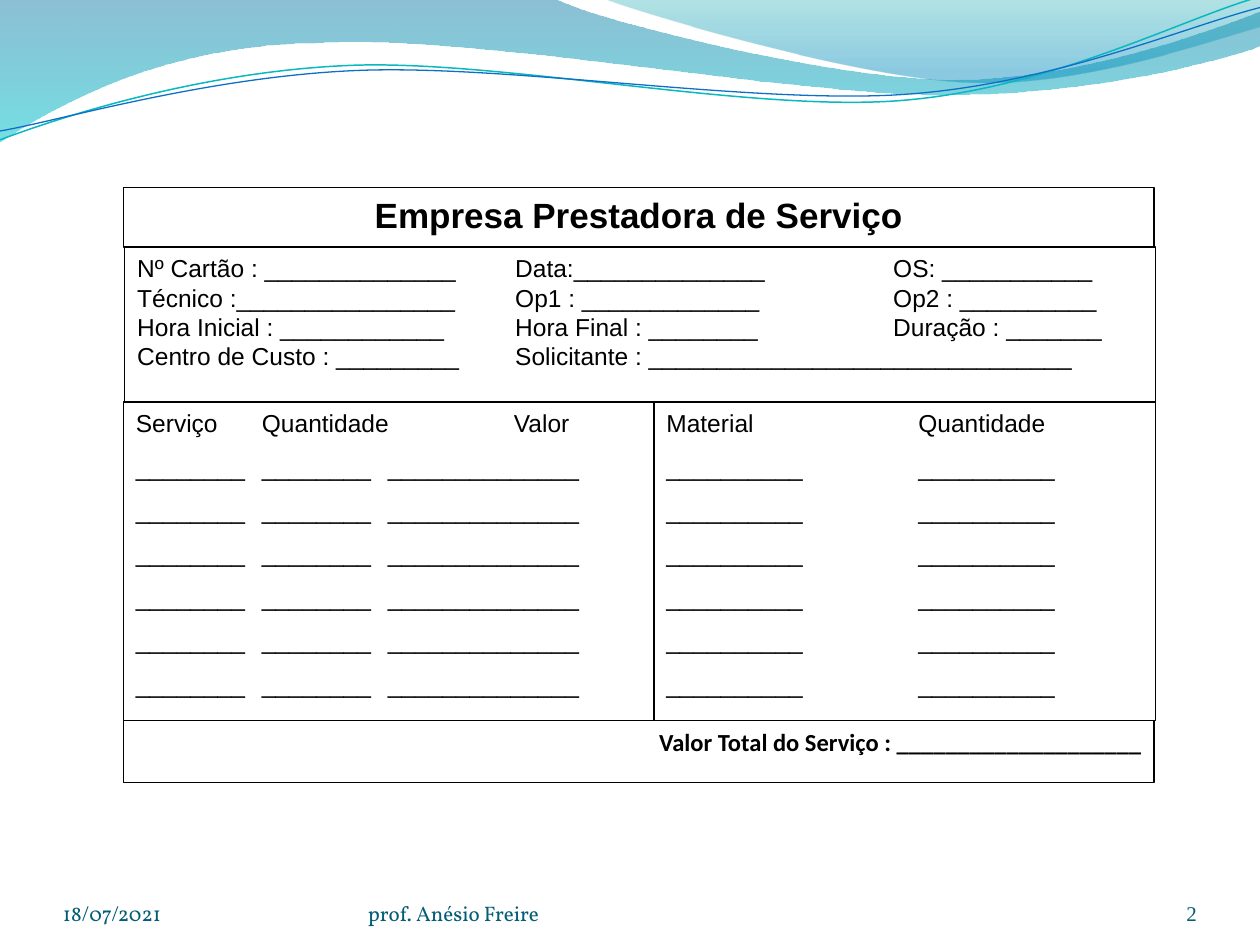
from dataclasses import dataclass

import lxml.etree
import pptx
import pptx.dml.color
import pptx.enum.shapes
import pptx.enum.text
import pptx.oxml
import pptx.oxml.ns
import pptx.util

COLORS = {
    "black": "000000", "white": "FFFFFF", "footer": "045D75", "number": "045C75",
    "deep": "0074A1", "cyan": "00C6CF", "teal": "00A1A9", "sky": "008BBF",
    "teal line": "0AB8BF", "blue line": "0F6FC6",
}
# The slide is a grid of 10 columns by 7.5 rows of one inch each.
CELL = pptx.util.Inches(1)
COLUMNS, ROWS = 10, 7.5
LEFT, MIDDLE, RIGHT = 0.98, 5.19, 9.16
TITLE, HEADER, DETAILS, TOTAL, BOTTOM = 1.49, 1.96, 3.19, 5.72, 6.21
ALIGN = pptx.enum.text.PP_ALIGN
ANCHOR = pptx.enum.text.MSO_ANCHOR
qn = pptx.oxml.ns.qn


@dataclass
class Stop:
    position: float
    color: str
    opacity: int


@dataclass
class Wave:
    """A start point, then segments: (x, y) is a line, six numbers are a curve."""
    start: tuple[float, float]
    segments: list[tuple[float, ...]]
    stops: tuple[Stop, ...] = ()
    line: str = ""
    line_width: float = 0


@dataclass
class Box:
    left: float
    top: float
    right: float
    bottom: float
    lines: list[str]
    size: float = 14
    font: str = "Arial"
    color: str = "black"
    bold: bool = False
    align: ALIGN = ALIGN.LEFT
    space_after: float = 8


WAVES = [
    Wave((0, -0.01), [
        (4.4, -0.01), (4.76, 0.17, 6.64, 0.63, 7.58, 0.63),
        (8.53, 0.63, 9.58, 0.26, 10, 0.09), (10.01, 0.36),
        (9.83, 0.44, 8.7, 0.76, 7.46, 0.75), (6.22, 0.75, 3.82, 0.28, 2.57, 0.34),
        (1.29, 0.35, 0.46, 0.83, -0.01, 1.13), (0, -0.01),
    ], stops=(Stop(0, "deep", 45), Stop(1, "cyan", 55))),
    Wave((4.79, -0.01), [
        (5.09, 0.11, 6.82, 0.62, 7.69, 0.65), (8.56, 0.69, 9.61, 0.32, 10, 0.21),
        (10, 0), (4.79, -0.01),
    ], stops=(Stop(0, "teal", 30), Stop(0.8, "sky", 45))),
    Wave((0, 1.11), [
        (0.48, 0.93, 1.58, 0.57, 2.77, 0.52), (3.95, 0.47, 5.93, 0.89, 7.13, 0.8),
        (8.33, 0.71, 9.38, 0.15, 9.98, -0.02),
    ], line="teal line", line_width=0.85),
    Wave((0, 1.04), [
        (0.47, 0.96, 1.64, 0.61, 2.83, 0.56), (4.03, 0.51, 5.97, 0.83, 7.17, 0.75),
        (8.36, 0.67, 9.41, 0.21, 10, 0.06),
    ], line="blue line", line_width=0.75),
]

SERVICE_ROW = "\t".join("_" * count for count in (8, 8, 14))
MATERIAL_ROW = "\t".join(["_" * 10] * 2)
BLANK_ROWS = 6

FORM = [
    Box(LEFT, TITLE, RIGHT, HEADER, ["Empresa Prestadora de Serviço"],
        size=20, bold=True, align=ALIGN.CENTER),
    Box(LEFT + 0.01, HEADER, RIGHT + 0.01, DETAILS, [
        "Nº Cartão : ______________\tData:______________\t\tOS: ___________",
        "Técnico :________________\tOp1 : _____________\t\tOp2 : __________",
        "Hora Inicial : ____________\tHora Final : ________\t\tDuração : _______",
        "Centro de Custo : _________\tSolicitante : _______________________________",
    ], space_after=0),
    Box(LEFT, DETAILS, MIDDLE, TOTAL,
        ["Serviço \tQuantidade\tValor"] + [SERVICE_ROW] * BLANK_ROWS),
    Box(MIDDLE, DETAILS, RIGHT + 0.01, TOTAL,
        ["Material\t\tQuantidade"] + [MATERIAL_ROW] * BLANK_ROWS),
    Box(LEFT, TOTAL, RIGHT, BOTTOM, ["Valor Total do Serviço : " + "_" * 20],
        font="Calibri", bold=True, align=ALIGN.RIGHT),
]

FOOTERS = [
    Box(left, 6.95, right, 7.35, [text], size=12, font=font, color=color,
        align=align, space_after=0)
    for left, right, text, font, color, align in [
        (0.5, 2.83, "18/07/2021", "Vollkorn", "footer", ALIGN.LEFT),
        (2.92, 6.59, "prof. Anésio Freire", "Vollkorn", "footer", ALIGN.LEFT),
        (8.67, 9.5, "2", "Times New Roman", "number", ALIGN.RIGHT),
    ]
]


def cells(count: float) -> int:
    return round(count * CELL)


def rgb(name: str) -> pptx.dml.color.RGBColor:
    return pptx.dml.color.RGBColor.from_string(COLORS[name])


def bend_segments(shape, wave: Wave) -> None:
    """Join each three line ends that belong to a curve into one cubic curve."""
    line_ends = iter(list(shape._element.spPr.iter(qn("a:lnTo"))))
    for segment in wave.segments:
        first = next(line_ends)
        if len(segment) == 6:
            first.tag = qn("a:cubicBezTo")
            for _ in range(2):
                line_end = next(line_ends)
                first.append(line_end[0])
                line_end.getparent().remove(line_end)


def draw_wave(slide, wave: Wave) -> None:
    points = [(cells(segment[i]), cells(segment[i + 1]))
              for segment in wave.segments for i in range(0, len(segment), 2)]
    builder = slide.shapes.build_freeform(*map(cells, wave.start))
    builder.add_line_segments(points, close=bool(wave.stops))
    shape = builder.convert_to_shape()
    bend_segments(shape, wave)
    shape.shadow.inherit = False
    if not wave.stops:
        shape.fill.background()
        shape.line.color.rgb = rgb(wave.line)
        shape.line.width = pptx.util.Pt(wave.line_width)
        return
    shape.line.fill.background()
    shape.fill.gradient()
    shape.fill.gradient_angle = 270
    for gradient_stop, stop in zip(shape.fill.gradient_stops, wave.stops):
        gradient_stop.position = stop.position
        gradient_stop.color.rgb = rgb(stop.color)
    for color, stop in zip(shape._element.spPr.iter(qn("a:srgbClr")), wave.stops):
        alpha = lxml.etree.SubElement(color, qn("a:alpha"))
        alpha.set("val", str(stop.opacity * 1000))


def add_tab_stops(paragraph) -> None:
    """Put a left tab stop at every grid column."""
    tabs = lxml.etree.SubElement(paragraph._p.get_or_add_pPr(), qn("a:tabLst"))
    for column in range(1, 8):
        tab = lxml.etree.SubElement(tabs, qn("a:tab"))
        tab.set("pos", str(cells(column)))
        tab.set("algn", "l")


def write_lines(text_frame, box: Box) -> None:
    text_frame.word_wrap = True
    text_frame.text = "\n".join(box.lines)
    for paragraph in text_frame.paragraphs:
        paragraph.alignment = box.align
        paragraph.space_after = pptx.util.Pt(box.space_after)
        if "\t" in paragraph.text:
            add_tab_stops(paragraph)
        for run in paragraph.runs:
            run.font.size = pptx.util.Pt(box.size)
            run.font.name = box.font
            run.font.bold = box.bold
            run.font.color.rgb = rgb(box.color)


def frame(box: Box) -> tuple[int, ...]:
    return tuple(map(cells, (box.left, box.top, box.right - box.left, box.bottom - box.top)))


def draw_form_box(slide, box: Box) -> None:
    shape = slide.shapes.add_shape(pptx.enum.shapes.MSO_SHAPE.RECTANGLE, *frame(box))
    shape.shadow.inherit = False
    shape.fill.solid()
    shape.fill.fore_color.rgb = rgb("white")
    shape.line.color.rgb = rgb("black")
    shape.line.width = pptx.util.Pt(0.75)
    shape.text_frame.vertical_anchor = ANCHOR.TOP
    write_lines(shape.text_frame, box)


def draw_footer(slide, box: Box) -> None:
    text_frame = slide.shapes.add_textbox(*frame(box)).text_frame
    text_frame.margin_left = text_frame.margin_right = 0
    text_frame.margin_top = text_frame.margin_bottom = 0
    text_frame.vertical_anchor = ANCHOR.BOTTOM
    write_lines(text_frame, box)


def main() -> None:
    presentation = pptx.Presentation()
    presentation.slide_width, presentation.slide_height = cells(COLUMNS), cells(ROWS)
    slide = presentation.slides.add_slide(presentation.slide_layouts[6])
    for items, draw in ((WAVES, draw_wave), (FOOTERS, draw_footer), (FORM, draw_form_box)):
        for item in items:
            draw(slide, item)
    presentation.save("out.pptx")


if __name__ == "__main__":
    main()
